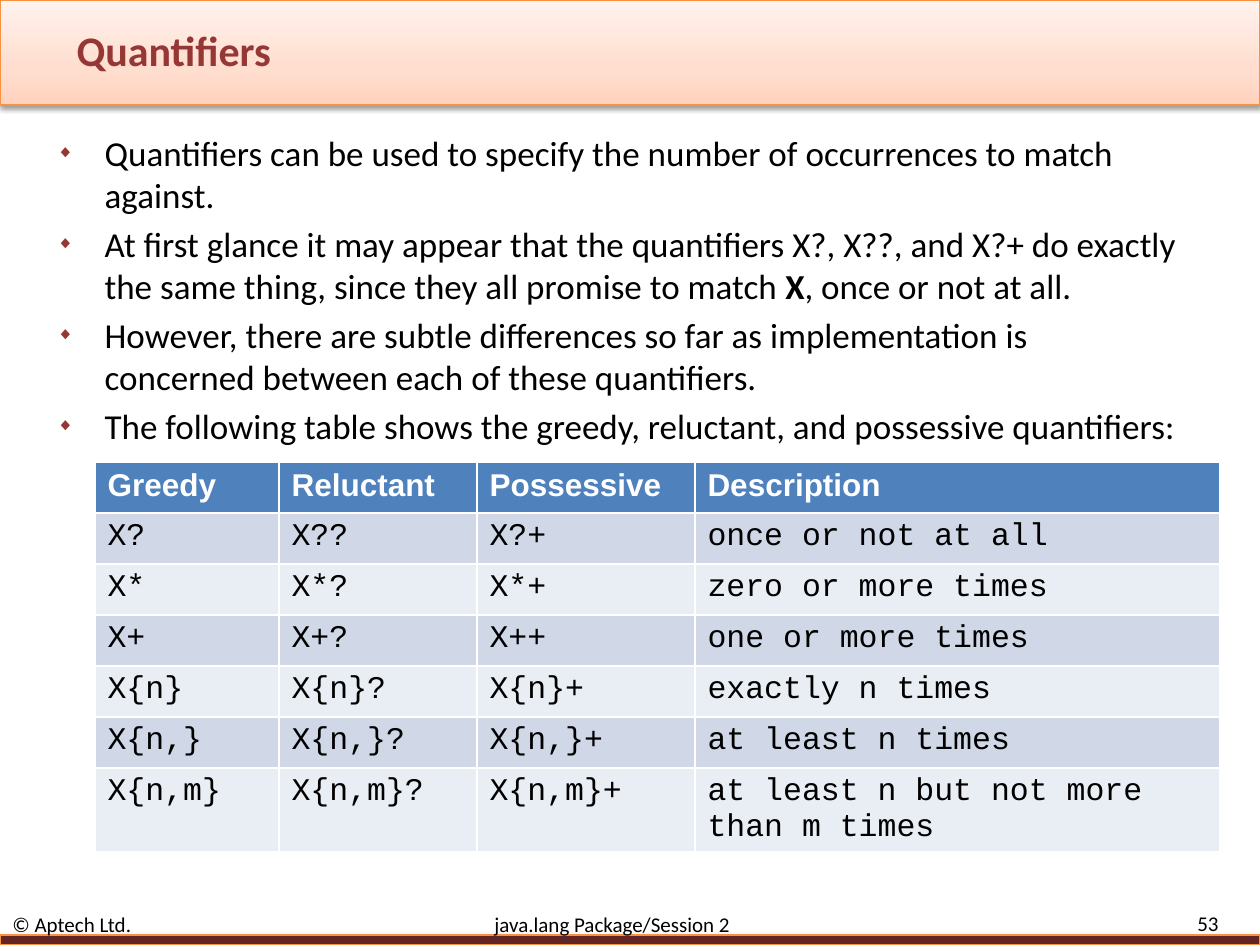
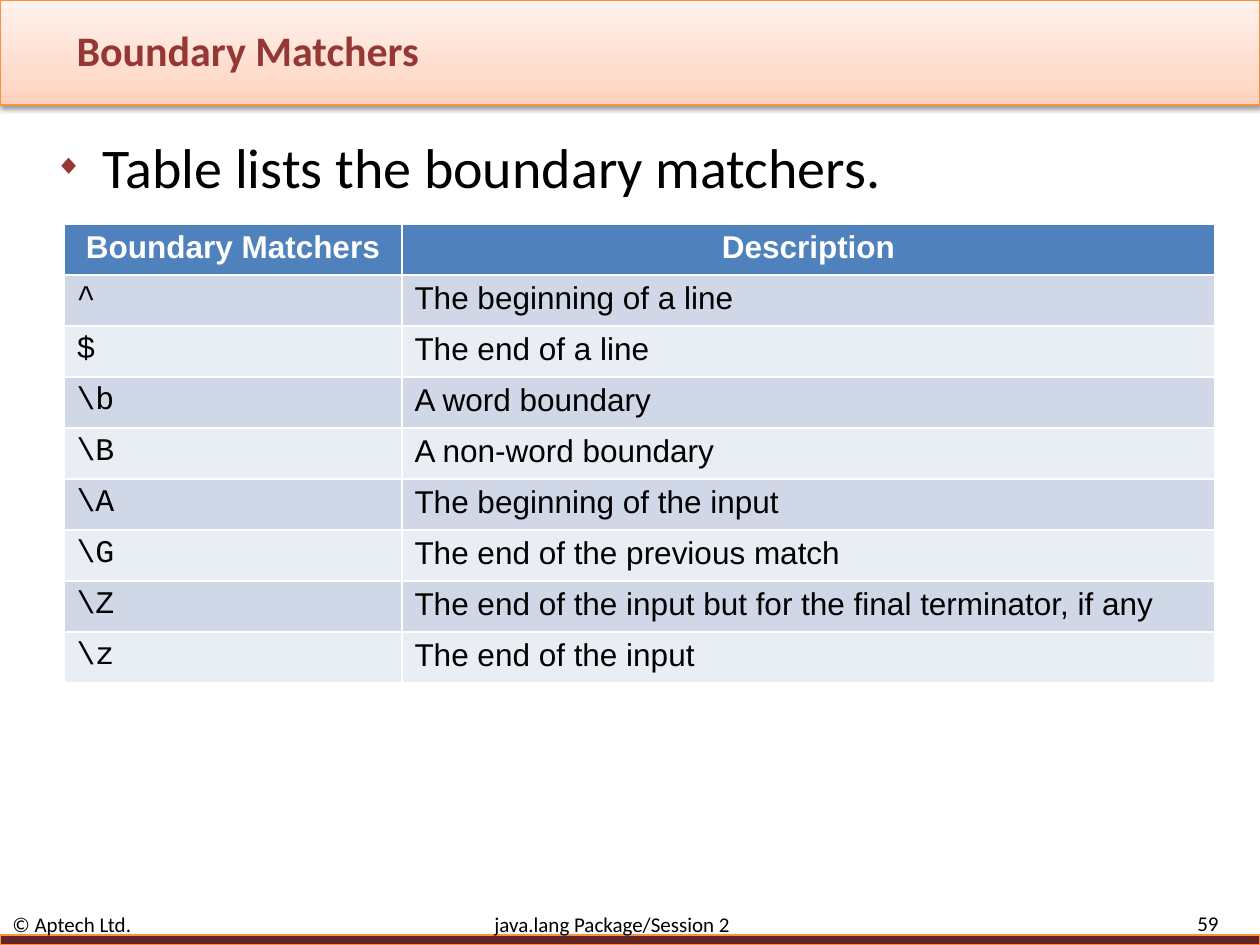
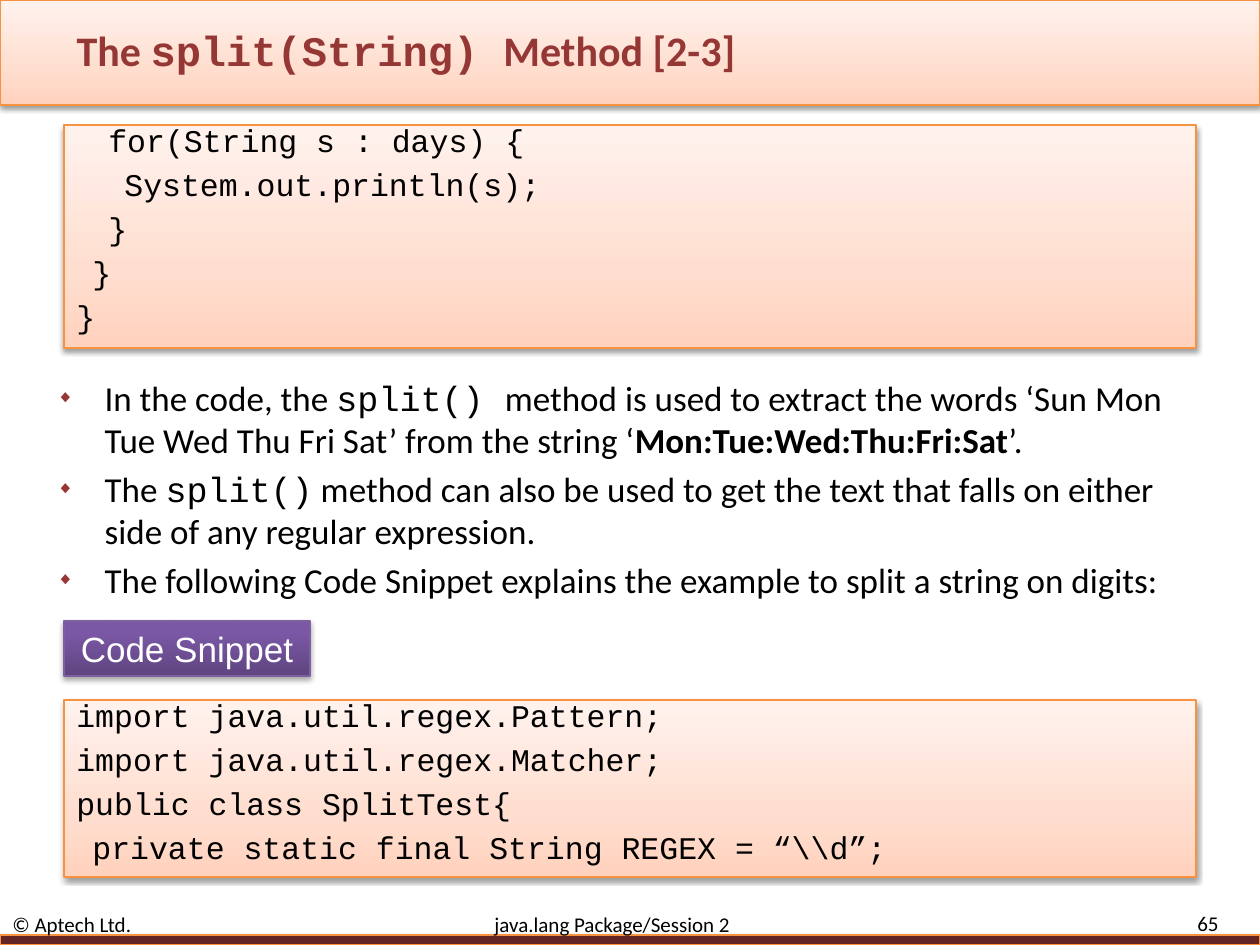
from pptx import Presentation
from pptx import util as u
from pptx.dml.color import RGBColor
from pptx.enum import shapes, text
from pptx.oxml import parse_xml
from pptx.oxml.ns import nsdecls, qn

PX = 914400 / 126


class Theme:
    sans, plain, mono = "Calibri", "Arial", "Courier New"
    black, white = "000000", "FFFFFF"
    title, bullet = "953735", "973735"
    foot_band, orange, violet = "632523", "F69240", "7D60A0"
    peach = [(0, "FFD2BD"), (35, "FFDED0"), (100, "FFF2ED")]
    purple = [(0, "5F4480"), (80, "7B58A6"), (100, "7C57A8")]
    header, bands = "4F81BD", ("D0D8E8", "E9EDF4")
    title_size, body_size, lead_size = 24, 20, 32
    cell_size, code_size, foot_size = 18, 18, 12


# A run is a string, or a (string, kind) pair with kind "code" or "bold".
QUANTIFIERS = {
    "page": 53,
    "title": ["Quantifiers"],
    "body": {
        "box": (44, 125, 1150, 755),
        "size": Theme.body_size,
        "items": [
            ["Quantifiers can be used to specify the number of occurrences to match against."],
            ["At first glance it may appear that the quantifiers X?, X??, and X?+ do exactly "
             "the same thing, since they all promise to match ", ("X", "bold"),
             ", once or not at all."],
            ["However, there are subtle differences so far as implementation is concerned "
             "between each of these quantifiers."],
            ["The following table shows the greedy, reluctant, and possessive quantifiers:"],
        ],
    },
    "table": {
        "at": (95, 462),
        "widths": (184, 198, 218, 525),
        "heights": [51] * 6 + [84],
        "fonts": [Theme.mono] * 4,
        "header_align": "LEFT",
        "rows": [
            ("Greedy", "Reluctant", "Possessive", "Description"),
            ("X?", "X??", "X?+", "once or not at all"),
            ("X*", "X*?", "X*+", "zero or more times"),
            ("X+", "X+?", "X++", "one or more times"),
            ("X{n}", "X{n}?", "X{n}+", "exactly n times"),
            ("X{n,}", "X{n,}?", "X{n,}+", "at least n times"),
            ("X{n,m}", "X{n,m}?", "X{n,m}+", "at least n but not more than m times"),
        ],
    },
}

BOUNDARIES = {
    "page": 59,
    "title": ["Boundary Matchers"],
    "body": {
        "box": (42, 126, 1187, 724),
        "size": Theme.lead_size,
        "items": [["Table lists the boundary matchers."]],
    },
    "table": {
        "at": (64, 224),
        "widths": (338, 813),
        "heights": [51] * 9,
        "fonts": [Theme.mono, Theme.plain],
        "header_align": "CENTER",
        "rows": [
            ("Boundary Matchers", "Description"),
            ("^", "The beginning of a line"),
            ("$", "The end of a line"),
            ("\\b", "A word boundary"),
            ("\\B", "A non-word boundary"),
            ("\\A", "The beginning of the input"),
            ("\\G", "The end of the previous match"),
            ("\\Z", "The end of the input but for the final terminator, if any"),
            ("\\z", "The end of the input"),
        ],
    },
}

SPLIT = {
    "page": 65,
    "title": ["The ", ("split(String) ", "code"), "Method [2-3]"],
    "body": {
        "box": (44, 370, 1150, 245),
        "size": Theme.body_size,
        "items": [
            ["In the code, the ", ("split() ", "code"),
             "method is used to extract the words ‘Sun Mon Tue Wed Thu Fri Sat’ "
             "from the string ‘", ("Mon:Tue:Wed:Thu:Fri:Sat", "bold"), "’."],
            ["The ", ("split()", "code"), " method can also be used to get the text that "
             "falls on either side of any regular expression."],
            ["The following Code Snippet explains the example to split a string on digits:"],
        ],
    },
    "label": ((64, 621, 246, 55), "Code Snippet"),
    # Each code line is (indent level, text).
    "code": [
        ((64, 125, 1132, 223), [
            (2, "for(String s : days) {"),
            (3, "System.out.println(s);"),
            (2, "}"),
            (1, "}"),
            (0, "}"),
        ]),
        ((64, 700, 1132, 177), [
            (0, "import java.util.regex.Pattern;"),
            (0, "import java.util.regex.Matcher;"),
            (0, "public class SplitTest{"),
            (1, "private static final String REGEX = “\\\\d”;"),
        ]),
    ],
}

FOOTER = "© Aptech Ltd.\tjava.lang Package/Session 2"
HEAD_BAND = (0, 0, 1260, 105)
FOOT_BAND = (0, 935, 1260, 10)
TITLE_BOX = (64, 21, 1017, 57)
FOOTER_BOX = (0, 911, 1113, 26)
PAGE_BOX = (1124, 910, 107, 26)
FOOTER_TAB, BULLET_INDENT, CODE_INDENT = 482, 48, 16


def emu(px):
    return u.Emu(round(px * PX))


def rgb(color):
    return RGBColor.from_string(color)


def xml(tag, attrs="", inner=""):
    return parse_xml(f'<a:{tag} {nsdecls("a")} {attrs}>{inner}</a:{tag}>')


def write(p, runs, font=Theme.sans, size=Theme.body_size, color=Theme.black,
          bold=False, align="LEFT", before=0, spacing=None):
    p.alignment = getattr(text.PP_ALIGN, align)
    p.space_before = u.Pt(before)
    if spacing:
        p.line_spacing = spacing
    for run in [runs] if isinstance(runs, str) else runs:
        words, kind = (run, None) if isinstance(run, str) else run
        r = p.add_run()
        r.text = words
        r.font.name = Theme.mono if kind == "code" else font
        r.font.size = u.Pt(size)
        r.font.bold = bold or kind == "bold"
        r.font.color.rgb = rgb(color)


def place(sp, box):
    sp.left, sp.top, sp.width, sp.height = map(emu, box)


def frame(sp, anchor="TOP"):
    tf = sp.text_frame
    tf.word_wrap = True
    tf.auto_size = text.MSO_AUTO_SIZE.NONE
    tf.vertical_anchor = getattr(text.MSO_ANCHOR, anchor)
    return tf


def paragraphs(tf, items):
    """Yield (paragraph, item), reusing the frame's first paragraph."""
    for i, item in enumerate(items):
        yield (tf.add_paragraph() if i else tf.paragraphs[0]), item


def add_panel(slide, box, fill, line, alpha=38, dist=20000):
    """Add a shadowed rectangle; fill is one colour or a list of gradient stops."""
    sp = slide.shapes.add_shape(shapes.MSO_SHAPE.RECTANGLE, *map(emu, box))
    sp.shadow.inherit = False
    sp.line.color.rgb = rgb(line)
    sp.line.width = u.Pt(0.75)
    spPr = sp.element.spPr
    if isinstance(fill, str):
        sp.fill.solid()
        sp.fill.fore_color.rgb = rgb(fill)
    else:
        stops = "".join(f'<a:gs pos="{pos * 1000}"><a:srgbClr val="{c}"/></a:gs>'
                        for pos, c in fill)
        spPr.find(qn("a:prstGeom")).addnext(
            xml("gradFill", 'rotWithShape="1"',
                f'<a:gsLst>{stops}</a:gsLst><a:lin ang="16200000" scaled="0"/>'))
    spPr.find(qn("a:effectLst")).append(
        xml("outerShdw", f'blurRad="40000" dist="{dist}" dir="5400000" rotWithShape="0"',
            f'<a:srgbClr val="000000"><a:alpha val="{alpha * 1000}"/></a:srgbClr>'))
    return sp


def add_master_bands(prs, slide):
    """Draw the bands on a slide, then move them behind everything on the master."""
    bands = [add_panel(slide, HEAD_BAND, Theme.peach, Theme.orange),
             add_panel(slide, FOOT_BAND, Theme.foot_band, Theme.orange, 35, 23000)]
    for i, sp in enumerate(bands):
        sp.element.xpath("./p:nvSpPr/p:cNvPr")[0].set("id", str(101 + i))
        prs.slide_master.shapes.element.insert(2 + i, sp.element)


def add_title(slide, runs):
    sp = slide.shapes.title
    place(sp, TITLE_BOX)
    write(frame(sp, "MIDDLE").paragraphs[0], runs, size=Theme.title_size,
          color=Theme.title, bold=True)


def add_bullets(slide, box, size, items):
    sp = slide.placeholders[1]
    place(sp, box)
    for i, (p, runs) in enumerate(paragraphs(frame(sp), items)):
        pPr = p._p.get_or_add_pPr()
        pPr.set("marL", str(emu(BULLET_INDENT)))
        pPr.set("indent", str(-emu(BULLET_INDENT)))
        pPr.append(xml("buClr", inner=f'<a:srgbClr val="{Theme.bullet}"/>'))
        pPr.append(xml("buSzPct", 'val="50000"'))
        pPr.append(xml("buChar", 'char="◆"'))
        write(p, runs, size=size, before=size * 0.2 if i else 0)


def add_footer(slide, page):
    for box, words, align in ((FOOTER_BOX, FOOTER, "LEFT"), (PAGE_BOX, str(page), "RIGHT")):
        tf = frame(slide.shapes.add_textbox(*map(emu, box)), "MIDDLE")
        tf.margin_top = tf.margin_bottom = 0
        p = tf.paragraphs[0]
        if "\t" in words:
            p._p.get_or_add_pPr().append(
                xml("tabLst", inner=f'<a:tab pos="{emu(FOOTER_TAB)}" algn="l"/>'))
        write(p, words, size=Theme.foot_size, align=align)


def add_grid(slide, at, widths, heights, fonts, header_align, rows):
    box = (*at, sum(widths), sum(heights))
    table = slide.shapes.add_table(len(rows), len(widths), *map(emu, box)).table
    for col, width in zip(table.columns, widths):
        col.width = emu(width)
    for i, (row, height, values) in enumerate(zip(table.rows, heights, rows)):
        row.height = emu(height)
        for cell, value, font in zip(row.cells, values, fonts):
            cell.fill.solid()
            p = cell.text_frame.paragraphs[0]
            if i == 0:
                cell.fill.fore_color.rgb = rgb(Theme.header)
                write(p, value, font=Theme.plain, size=Theme.cell_size,
                      color=Theme.white, bold=True, align=header_align)
            else:
                cell.fill.fore_color.rgb = rgb(Theme.bands[(i - 1) % 2])
                write(p, value, font=font, size=Theme.cell_size)


def add_code(slide, box, lines):
    tf = frame(add_panel(slide, box, Theme.peach, Theme.orange))
    for i, (p, (level, line)) in enumerate(paragraphs(tf, lines)):
        pPr = p._p.get_or_add_pPr()
        pPr.set("marL", "0")
        pPr.set("indent", str(emu(level * CODE_INDENT)))
        write(p, line, font=Theme.mono, size=Theme.code_size,
              before=10 if i else 0, spacing=0.7)


def add_label(slide, box, words):
    sp = add_panel(slide, box, Theme.purple, Theme.violet, 35, 23000)
    write(frame(sp, "MIDDLE").paragraphs[0], words, font=Theme.plain,
          color=Theme.white, align="CENTER")


def main():
    prs = Presentation()
    prs.slide_width, prs.slide_height = emu(1260), emu(945)
    for i, content in enumerate((QUANTIFIERS, BOUNDARIES, SPLIT)):
        slide = prs.slides.add_slide(prs.slide_layouts[1])
        if i == 0:
            add_master_bands(prs, slide)
        add_title(slide, content["title"])
        add_bullets(slide, **content["body"])
        add_footer(slide, content["page"])
        if "table" in content:
            add_grid(slide, **content["table"])
        for box, lines in content.get("code", []):
            add_code(slide, box, lines)
        if "label" in content:
            add_label(slide, *content["label"])
    prs.save("out.pptx")


if __name__ == "__main__":
    main()
